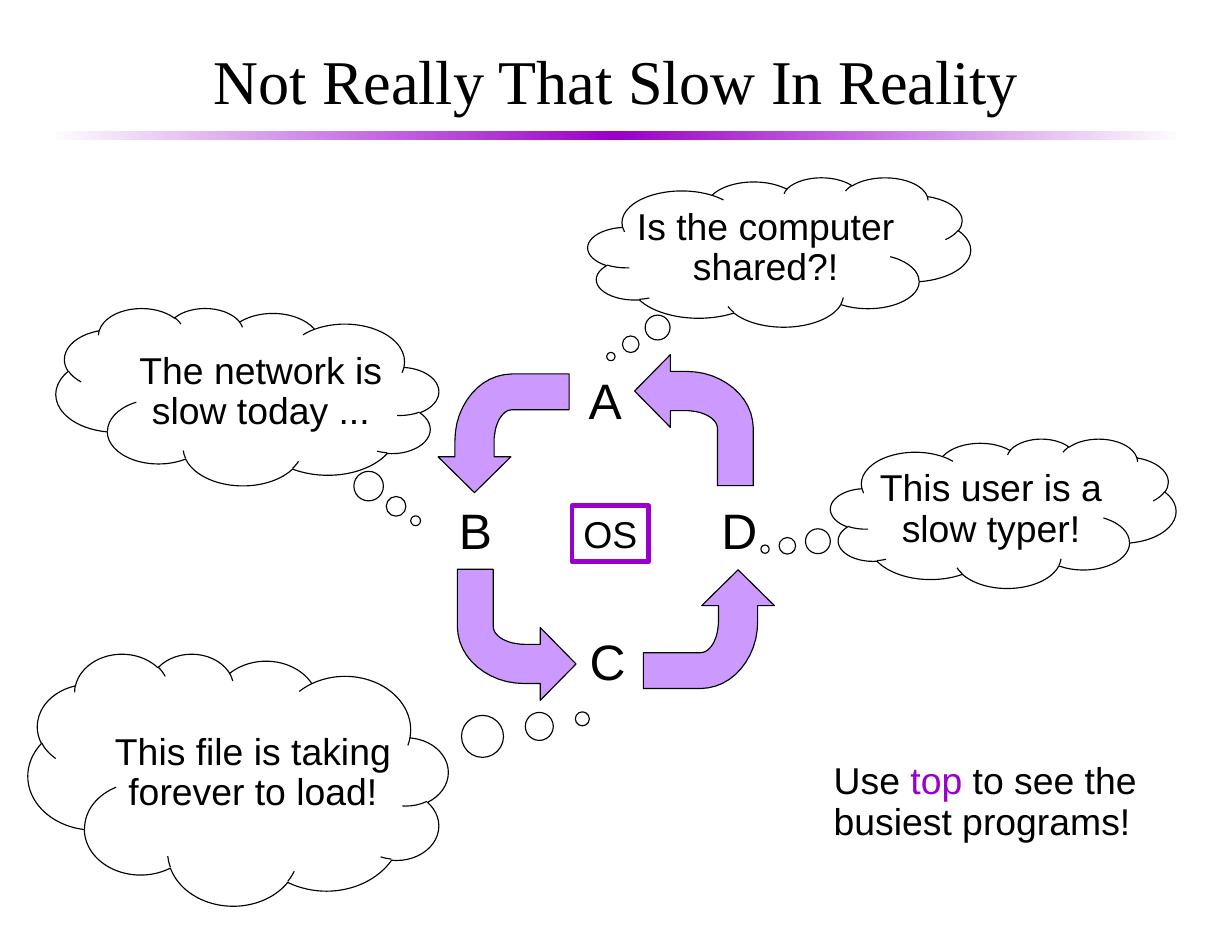
import copy

import pptx
import pptx.dml.color
import pptx.enum.shapes
import pptx.enum.text
import pptx.oxml.ns
import pptx.util

SHAPE = pptx.enum.shapes.MSO_SHAPE
ALIGN = pptx.enum.text.PP_ALIGN
ANCHOR = pptx.enum.text.MSO_ANCHOR
COLUMNS, ROWS = 132, 102  # a grid of twelve cells to the inch
CELL = pptx.util.Inches(1) // 12
BLACK, WHITE, PURPLE, LILAC = "000000", "FFFFFF", "9900CC", "CC99FF"


def color(hex_string):
    return pptx.dml.color.RGBColor.from_string(hex_string)


def cells(*lengths):
    return [round(length * CELL) for length in lengths]


def set_outline(shape, line_color, points):
    shape.shadow.inherit = False
    shape.line.color.rgb = color(line_color)
    shape.line.width = pptx.util.Pt(points)


def set_frame(shape, margins, anchor=ANCHOR.TOP, grow=False):
    """Set unwrapped text with (side, top) margins in inches."""
    frame = shape.text_frame
    side, top = (pptx.util.Inches(margin) for margin in margins)
    frame.margin_left = frame.margin_right = side
    frame.margin_top = frame.margin_bottom = top
    frame.vertical_anchor = anchor
    frame.word_wrap = False
    if grow:
        frame.auto_size = pptx.enum.text.MSO_AUTO_SIZE.SHAPE_TO_FIT_TEXT
    return frame.paragraphs[0]


def set_font(para, size, name="Arial"):
    para.font.size = pptx.util.Pt(size)
    para.font.name = name
    para.font.color.rgb = color(BLACK)


def set_remark(para):
    set_font(para, 24)
    para.line_spacing = 0.9
    para.space_before = pptx.util.Pt(6)


def add_heading(page, box, text):
    left, top, width, height = box
    bar = page.shapes.add_shape(
        SHAPE.RECTANGLE, *cells(left, top + height - 1, width, 1))
    bar.shadow.inherit = False
    bar.line.fill.background()
    bar.fill.gradient()
    bar.fill.gradient_angle = 0
    stop_list = bar.element.spPr.find(".//" + pptx.oxml.ns.qn("a:gsLst"))
    stop_list.insert(1, copy.deepcopy(stop_list[0]))
    for stop, position, shade in zip(
            bar.fill.gradient_stops, (0, 0.5, 1), (WHITE, PURPLE, WHITE)):
        stop.position = position
        stop.color.rgb = color(shade)

    title = page.shapes.add_textbox(
        *cells(left + 2, top, width - 4, height - 1.4))
    para = set_frame(title, (0.11, 0.06), ANCHOR.MIDDLE)
    title.text_frame.word_wrap = True
    para.text = text
    para.alignment = ALIGN.CENTER
    set_font(para, 40, "Times New Roman")


def curve(start, first, second, end, steps=12):
    """Points along a cubic curve, without its start."""
    points = []
    for step in range(1, steps + 1):
        t = step / steps
        weights = ((1 - t) ** 3, 3 * t * (1 - t) ** 2,
                   3 * t ** 2 * (1 - t), t ** 3)
        points.append(tuple(
            sum(weight * value for weight, value in zip(weights, values))
            for values in zip(start, first, second, end)))
    return points


def add_bent_arrow(page, left, top, rotation):
    # Thousandths of an inch: up from the tail, then left to the head.
    outline = [
        (1060, 660),
        *curve((1060, 660), (1060, 380), (790, 150), (460, 150)),
        (320, 150), (320, 0), (0, 325), (320, 650), (320, 500), (450, 500),
        *curve((450, 500), (610, 500), (740, 570), (740, 660)),
        (740, 1170),
    ]
    builder = page.shapes.build_freeform(
        1060, 1170, scale=pptx.util.Inches(1) / 1000)
    builder.add_line_segments(outline, close=True)
    arrow = builder.convert_to_shape(*cells(left, top))
    arrow.rotation = rotation
    arrow.fill.solid()
    arrow.fill.fore_color.rgb = color(LILAC)
    set_outline(arrow, BLACK, 0.75)


def add_ring(page, left, top):
    """Users A to D around the operating system, joined by arrows."""
    for x, y, rotation in ((21, 0, 0), (0.6, 1.4, 270),
                           (2, 23, 180), (22.6, 22.4, 90)):
        add_bent_arrow(page, left + x, top + y, rotation)
    for letter, x, y in (("A", 14.9, 1), ("B", 1, 15),
                         ("C", 15, 29), ("D", 29.1, 15)):
        label = page.shapes.add_textbox(*cells(left + x, top + y, 6, 7.7))
        para = set_frame(label, (0.1, 0.05), grow=True)
        para.text = letter
        set_font(para, 32)

    system = page.shapes.add_shape(
        SHAPE.RECTANGLE, *cells(left + 14.3, top + 16.2, 8.2, 6))
    system.fill.solid()
    system.fill.fore_color.rgb = color(WHITE)
    set_outline(system, PURPLE, 3)
    para = set_frame(system, (0.1, 0.05), ANCHOR.MIDDLE, grow=True)
    para.text = "OS"
    para.alignment = ALIGN.CENTER
    set_font(para, 24)


def add_thought(page, box, text, tail, mirrored=False):
    cloud = page.shapes.add_shape(SHAPE.CLOUD_CALLOUT, *cells(*box))
    cloud.adjustments[0], cloud.adjustments[1] = tail
    if mirrored:
        cloud.element.spPr.find(pptx.oxml.ns.qn("a:xfrm")).set("flipH", "1")
    cloud.fill.background()
    set_outline(cloud, BLACK, 0.75)
    para = set_frame(cloud, (0.11, 0.06), ANCHOR.MIDDLE)
    para.text = text
    para.alignment = ALIGN.CENTER
    set_remark(para)


def add_advice(page, box):
    advice = page.shapes.add_textbox(*cells(*box))
    para = set_frame(advice, (0.11, 0.06), grow=True)
    set_remark(para)
    para.add_run().text = "Use "
    command = para.add_run()
    command.text = "top"
    command.font.color.rgb = color(PURPLE)
    para.add_run().text = " to see the"
    para.add_line_break()
    para.add_run().text = "busiest programs!"


def main():
    deck = pptx.Presentation()
    deck.slide_width, deck.slide_height = cells(COLUMNS, ROWS)
    page = deck.slides.add_slide(deck.slide_layouts[6])
    add_heading(page, (5, 3.4, 122, 11.6), "Not Really That Slow In Reality")
    add_ring(page, 47, 38)
    add_thought(page, (63, 19, 41, 16),
                "Is the computer\vshared?!", (-0.44, 0.7))
    add_thought(page, (89, 47, 37, 16),
                "This user is a\vslow typer!", (-0.69, 0.24))
    add_thought(page, (6, 33, 41, 19),
                "The network is\vslow today ...", (-0.44, 0.7), True)
    add_thought(page, (3, 70, 45, 27),
                "This file is taking\vforever to load!", (-0.82, -0.24), True)
    add_advice(page, (88, 81, 35.2, 10))
    deck.save("out.pptx")


if __name__ == "__main__":
    main()
